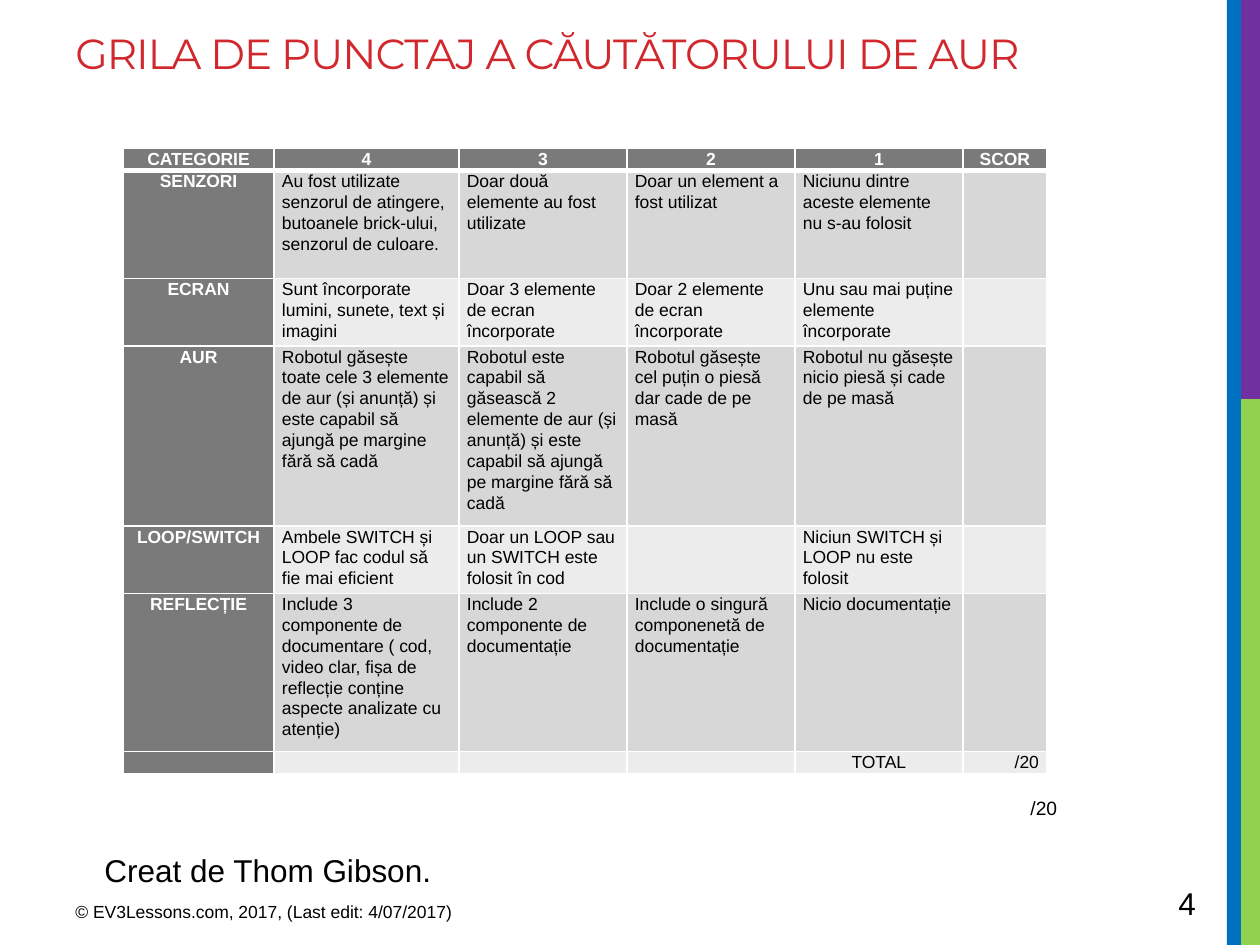
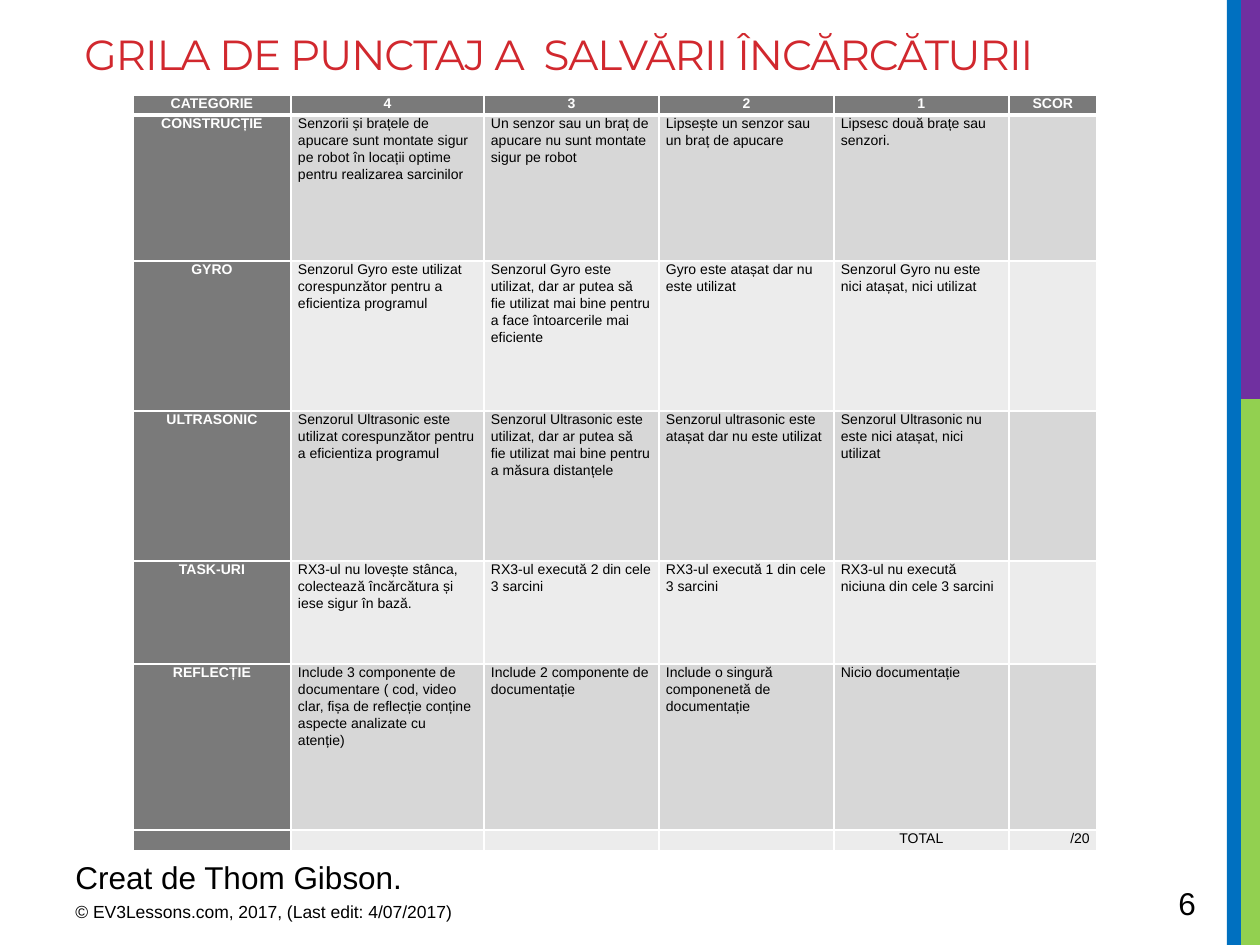
from dataclasses import dataclass

from lxml import etree
from pptx import Presentation
from pptx import util as u
from pptx.dml.color import RGBColor
from pptx.enum import shapes, text
from pptx.oxml.ns import qn


@dataclass(frozen=True)
class Theme:
    white: str = "FFFFFF"
    ink: str = "000000"
    red: str = "D1282E"
    blue: str = "0070C0"
    green: str = "92D050"
    purple: str = "7030A0"
    head: str = "7A7A7A"
    bands: tuple = ("D7D7D7", "ECECEC")
    body_font: str = "Arial"
    title_font: str = "Montserrat"
    title_size: int = 24
    large: int = 18
    score: int = 11
    small: int = 10
    line_spacing: float = 1.07


T = Theme()
SLIDE_W, SLIDE_H = 1260, 945
COLUMNS = (151, 185, 168, 168, 168, 84)
HEADINGS = ("CATEGORIE", "4", "3", "2", "1", "SCOR")
TOTALS = ("", "", "", "", "TOTAL", "/20")
REFLECTION = (
    "REFLECȚIE",
    "Include 3 componente de documentare ( cod, video clar, fișa de reflecție "
    "conține aspecte analizate cu atenție)",
    "Include 2 componente de documentație",
    "Include o singură componenetă de documentație",
    "Nicio documentație",
    "",
)
GOLD = (
    ("SENZORI",
     "Au fost utilizate senzorul de atingere, butoanele brick-ului, senzorul de culoare.",
     "Doar două elemente au fost utilizate",
     "Doar un element a fost utilizat",
     "Niciunu dintre aceste elemente nu s-au folosit", ""),
    ("ECRAN",
     "Sunt încorporate lumini, sunete, text și imagini",
     "Doar 3 elemente de ecran încorporate",
     "Doar 2 elemente de ecran încorporate",
     "Unu sau mai puține elemente încorporate", ""),
    ("AUR",
     "Robotul găsește toate cele 3 elemente de aur (și anunță) și este capabil "
     "să ajungă pe margine fără să cadă",
     "Robotul este capabil să găsească 2 elemente de aur (și anunță) și este "
     "capabil să ajungă pe margine fără să cadă",
     "Robotul găsește cel puțin o piesă dar cade de pe masă",
     "Robotul nu găsește nicio piesă și cade de pe masă", ""),
    ("LOOP/SWITCH",
     "Ambele SWITCH și LOOP fac codul să fie mai eficient",
     "Doar un LOOP sau un SWITCH este folosit în cod",
     "",
     "Niciun SWITCH și LOOP nu este folosit", ""),
    REFLECTION,
)
CARGO = (
    ("CONSTRUCȚIE",
     "Senzorii și brațele de apucare sunt montate sigur pe robot în locații "
     "optime pentru realizarea sarcinilor",
     "Un senzor sau un braț de apucare nu sunt montate sigur pe robot",
     "Lipsește un senzor sau un braț de apucare",
     "Lipsesc două brațe sau senzori.", ""),
    ("GYRO",
     "Senzorul Gyro este utilizat corespunzător pentru a eficientiza programul",
     "Senzorul Gyro este utilizat, dar ar putea să fie utilizat mai bine pentru "
     "a face întoarcerile mai eficiente",
     "Gyro este atașat dar nu este utilizat",
     "Senzorul Gyro nu este nici atașat, nici utilizat", ""),
    ("ULTRASONIC",
     "Senzorul Ultrasonic este utilizat corespunzător pentru a eficientiza programul",
     "Senzorul Ultrasonic este utilizat, dar ar putea să fie utilizat mai bine "
     "pentru a măsura distanțele",
     "Senzorul ultrasonic este atașat dar nu este utilizat",
     "Senzorul Ultrasonic nu este nici atașat, nici utilizat", ""),
    ("TASK-URI",
     "RX3-ul nu lovește stânca, colectează încărcătura și iese sigur în bază.",
     "RX3-ul execută 2 din cele 3 sarcini",
     "RX3-ul execută 1 din cele 3 sarcini",
     "RX3-ul nu execută niciuna din cele 3 sarcini", ""),
    REFLECTION,
)


def px(n):
    return u.Emu(round(n * 914400 / 126))


def rgb(color):
    return RGBColor.from_string(color)


def style(p, size, color=T.ink, font=T.body_font, bold=False):
    p.font.size = u.Pt(size)
    p.font.name = font
    p.font.bold = bold
    p.font.color.rgb = rgb(color)


def add_text(s, box, words, size, color=T.ink, font=T.body_font):
    tf = s.shapes.add_textbox(*map(px, box)).text_frame
    tf.word_wrap = True
    p = tf.paragraphs[0]
    r = p.add_run()
    r.text = words
    style(p, size, color, font)
    return r


def add_title(s, box, words):
    r = add_text(s, box, words, T.title_size, T.red, T.title_font)
    r.font._element.set("spc", "-60")


def add_side_bands(s, box):
    left, top, width, height = box
    split, stripe = 399, 14
    bands = (
        (T.green, left + stripe, split, width - stripe, height - split),
        (T.purple, left + stripe, top, width - stripe, split),
        (T.blue, left, top, stripe, height),
    )
    for color, *place in bands:
        sp = s.shapes.add_shape(shapes.MSO_SHAPE.RECTANGLE, *map(px, place))
        sp.shadow.inherit = False
        sp.fill.solid()
        sp.fill.fore_color.rgb = rgb(color)
        sp.line.fill.background()


def add_footer(s, box, number):
    left, top, width, height = box
    add_text(s, (left, top + 17, 473, 39),
             "© EV3Lessons.com, 2017, (Last edit: 4/07/2017)", T.small)
    add_text(s, (left + width - 87, top, 87, height), number, T.large)


def set_borders(cell, bottom):
    tc_pr = cell._tc.get_or_add_tcPr()
    for side, weight in (("L", 1), ("R", 1), ("T", 1), ("B", bottom)):
        ln = etree.SubElement(tc_pr, qn(f"a:ln{side}"), w=str(u.Pt(weight)))
        fill = etree.SubElement(ln, qn("a:solidFill"))
        etree.SubElement(fill, qn("a:srgbClr"), val=T.white)


def fill_cell(cell, words, size, inset, color, heading, align, bottom):
    set_borders(cell, bottom)
    cell.fill.solid()
    cell.fill.fore_color.rgb = rgb(color)
    cell.margin_left = cell.margin_right = px(inset)
    cell.margin_top = cell.margin_bottom = 0
    p = cell.text_frame.paragraphs[0]
    p.alignment = align
    p.line_spacing = T.line_spacing
    style(p, size, T.white if heading else T.ink, bold=heading)
    if words:
        p.add_run().text = words
    else:
        etree.SubElement(p._p, qn("a:endParaRPr"), sz=str(size * 100))


def add_rubric(s, box, criteria, heights, size, inset):
    left, top, width = box
    rows = (HEADINGS, *criteria, TOTALS)
    frame = s.shapes.add_table(len(rows), len(COLUMNS), px(left), px(top),
                               px(width), px(sum(heights)))
    table = frame.table
    for column, share in zip(table.columns, COLUMNS):
        column.width = px(round(share * width / sum(COLUMNS)))
    for row, height in zip(table.rows, heights):
        row.height = px(height)
    for i, row in enumerate(rows):
        for j, words in enumerate(row):
            heading = i == 0 or j == 0
            align = text.PP_ALIGN.LEFT
            if heading or words == "TOTAL":
                align = text.PP_ALIGN.CENTER
            elif row is TOTALS:
                align = text.PP_ALIGN.RIGHT
            color = T.head if heading else T.bands[(i - 1) % 2]
            fill_cell(table.cell(i, j), words, size, inset, color, heading,
                      align, 3 if i == 0 else 1)


def add_rubric_slide(prs, number, title, title_at, credit_at, **rubric):
    s = prs.slides.add_slide(prs.slide_layouts[6])
    add_side_bands(s, (1227, 0, SLIDE_W - 1227, SLIDE_H))
    add_title(s, (*title_at, 1137, 189), title)
    add_footer(s, (63, 878, 1190, 50), number)
    add_text(s, (*credit_at, 881, 50), "Creat de Thom Gibson.", T.large)
    add_rubric(s, **rubric)
    return s


def main():
    prs = Presentation()
    prs.slide_width, prs.slide_height = px(SLIDE_W), px(SLIDE_H)
    s = add_rubric_slide(
        prs, "4", "GRILA DE PUNCTAJ A CĂUTĂTORULUI DE AUR", (63, 21), (92, 845),
        box=(123, 148, 924), criteria=GOLD,
        heights=(22, 108, 67, 180, 67, 158, 22), size=10, inset=8)
    add_text(s, (1018, 790, 54, 37), "/20", T.score)
    add_rubric_slide(
        prs, "6", "GRILA DE PUNCTAJ A  SALVĂRII ÎNCĂRCĂTURII", (72, 22), (63, 852),
        box=(133, 95, 964), criteria=CARGO,
        heights=(20, 146, 150, 150, 103, 166, 21), size=8, inset=7)
    prs.save("out.pptx")


if __name__ == "__main__":
    main()
